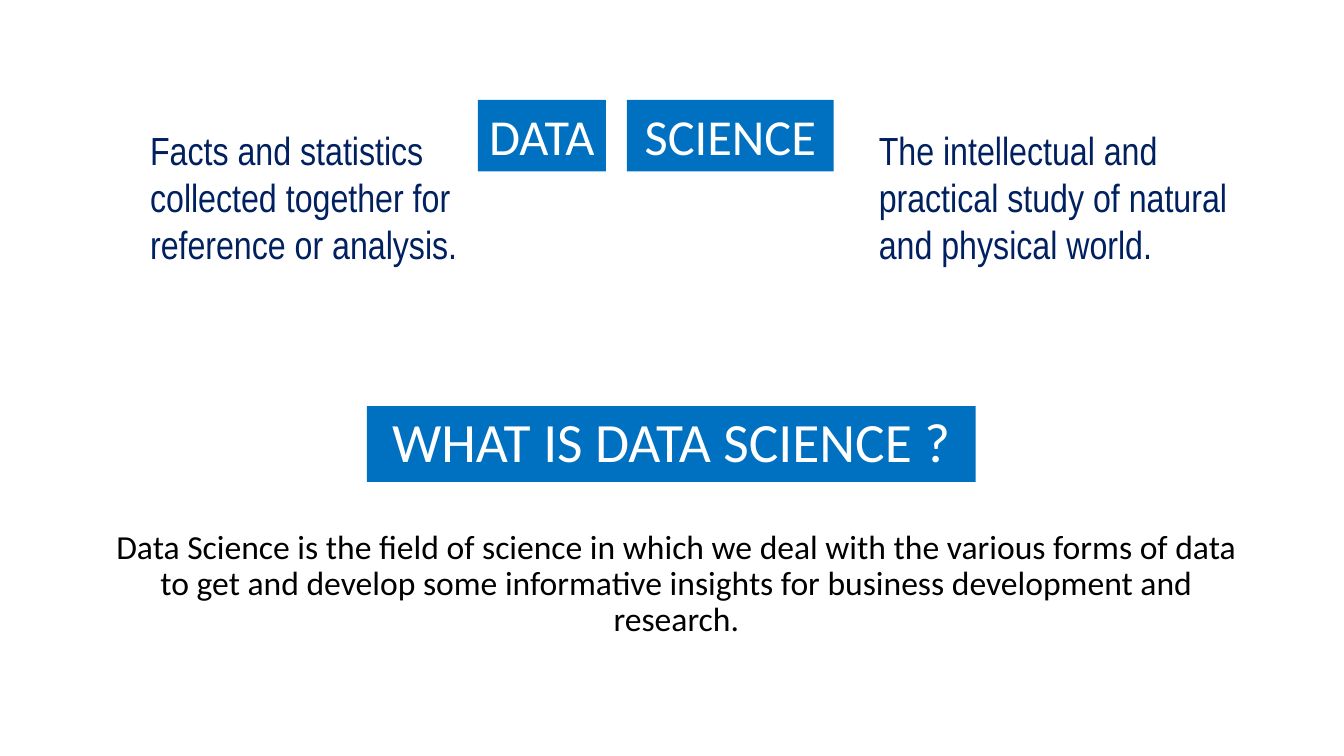
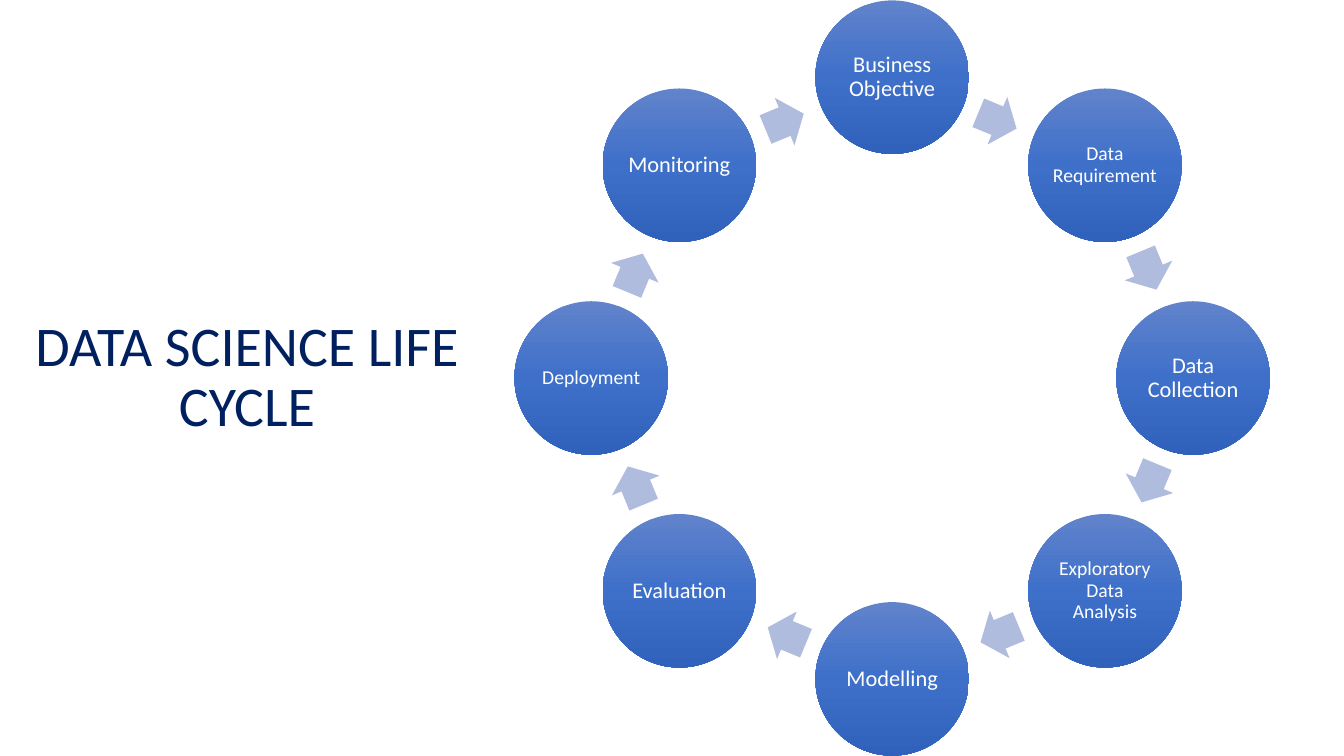
from copy import deepcopy
from math import cos, pi, radians, sin

from pptx import Presentation
from pptx import util as u
from pptx.dml.color import RGBColor
from pptx.enum import shapes, text

COLOURS = {
    "banner": "0070C0", "navy": "002060", "white": "FFFFFF", "black": "000000",
    "arrow": "B0BCDE", "top": "6183CB", "middle": "3E70CA", "bottom": "3062BB",
}
TITLE = {"line_spacing": 0.9, "anchor": text.MSO_ANCHOR.MIDDLE}
LEFT = {"alignment": text.PP_ALIGN.LEFT}
FACT = {"size": 28, "colour": "navy", "font": "Arial Narrow", **LEFT}
STEPS = [
    ("Business Objective", 16), ("Data Requirement", 14), ("Data Collection", 16),
    ("Exploratory Data\nAnalysis", 14), ("Modelling", 16), ("Evaluation", 16),
    ("Deployment", 14), ("Monitoring", 16),
]


class Deck:
    """Draws styled elements on the current page, placed in percent of its size."""

    def __init__(self):
        self.deck = Presentation()
        self.deck.slide_width = u.Inches(13.33)
        self.deck.slide_height = u.Inches(7.5)
        self.page = None

    def add_page(self):
        self.page = self.deck.slides.add_slide(self.deck.slide_layouts[6])

    def colour(self, name):
        return RGBColor.from_string(COLOURS[name])

    def place(self, left, top, width, height):
        across, down = self.deck.slide_width / 100, self.deck.slide_height / 100
        return [int(share * unit) for share, unit in
                zip((left, top, width, height), (across, down, across, down))]

    def fill_text(self, box, words, size, colour="white", font="Calibri",
                  anchor=text.MSO_ANCHOR.TOP, wrap=True, inset=None, **para_format):
        frame = box.text_frame
        frame.text = words
        values = {"word_wrap": wrap, "vertical_anchor": anchor}
        if inset is not None:
            for side in ("left", "right", "top", "bottom"):
                values[f"margin_{side}"] = u.Inches(inset)
        for key, value in values.items():
            setattr(frame, key, value)
        for para in frame.paragraphs:
            for key, value in {"alignment": text.PP_ALIGN.CENTER, **para_format}.items():
                setattr(para, key, value)
            for span in para.runs:
                for key, value in {"name": font, "size": u.Pt(size)}.items():
                    setattr(span.font, key, value)
                span.font.color.rgb = self.colour(colour)

    def label(self, area, words, size, **style):
        box = self.page.shapes.add_textbox(*self.place(*area))
        self.fill_text(box, words, size, **style)

    def figure(self, kind, area, fill=None):
        shape = self.page.shapes.add_shape(kind, *self.place(*area))
        shape.shadow.inherit = False
        shape.line.fill.background()
        if fill:
            shape.fill.solid()
            shape.fill.fore_color.rgb = self.colour(fill)
        return shape

    def banner(self, area, words, size, **style):
        box = self.figure(shapes.MSO_SHAPE.RECTANGLE, area, "banner")
        self.fill_text(box, words, size, **style)

    def disc(self, area, words, size):
        disc = self.figure(shapes.MSO_SHAPE.OVAL, area)
        disc.fill.gradient()
        disc.fill.gradient_angle = 270
        last = disc._element.xpath(".//a:gs")[-1]
        last.addnext(deepcopy(last))
        shades = zip(disc.fill.gradient_stops, ("top", "middle", "bottom"), (0, 0.5, 1))
        for stop, shade, position in shades:
            stop.color.rgb = self.colour(shade)
            stop.position = position
        self.fill_text(disc, words, size, inset=0, **TITLE)

    def arrow(self, area, turn):
        arrow = self.figure(shapes.MSO_SHAPE.RIGHT_ARROW, area, "arrow")
        arrow.adjustments[0] = 0.6
        arrow.adjustments[1] = 0.5
        arrow.rotation = turn

    def ring(self, steps, centre, radius, disc_size, arrow_size):
        def around(angle, size, reach=1):
            turn = radians(angle)
            return (centre[0] + radius[0] * reach * sin(turn) - size[0] / 2,
                    centre[1] - radius[1] * reach * cos(turn) - size[1] / 2, *size)

        sweep = 360 / len(steps)
        lag = 0.25
        for index, (words, size) in enumerate(steps):
            angle = index * sweep
            halfway = angle + sweep / 2
            self.disc(around(angle, disc_size), words, size)
            self.arrow(around(halfway - lag, arrow_size, cos(pi / len(steps))), halfway)


def main():
    deck = Deck()

    deck.add_page()
    deck.banner((27.3, 53.73, 45.3, 10), "WHAT IS DATA SCIENCE ?", 39.6, **TITLE)
    deck.label((6.9, 69.47, 86.85, 10),
               "Data Science is the field of science in which we deal with the various "
               "forms of data to get and develop some informative insights for business "
               "development and research.",
               24, colour="black", line_spacing=0.9, space_before=u.Pt(10))
    for left, width, words in ((35.55, 9.53, "DATA"), (46.65, 15.38, "SCIENCE")):
        deck.banner((left, 13.2, width, 9.47), words, 36, wrap=False)
    for left, words in (
        (10.43, "Facts and statistics collected together for reference or analysis."),
        (64.65, "The intellectual and practical study of natural and physical world."),
    ):
        deck.label((left, 16, 29.1, 20.13), words, **FACT)

    deck.add_page()
    deck.label((0, 40.13, 36.75, 19.87), "DATA SCIENCE LIFE CYCLE", 40,
               colour="navy", **TITLE)
    deck.ring(STEPS, centre=(66.38, 50), radius=(22.39, 39.8),
              disc_size=(11.42, 20.3), arrow_size=(3.08, 6.8))

    deck.deck.save("out.pptx")


if __name__ == "__main__":
    main()
